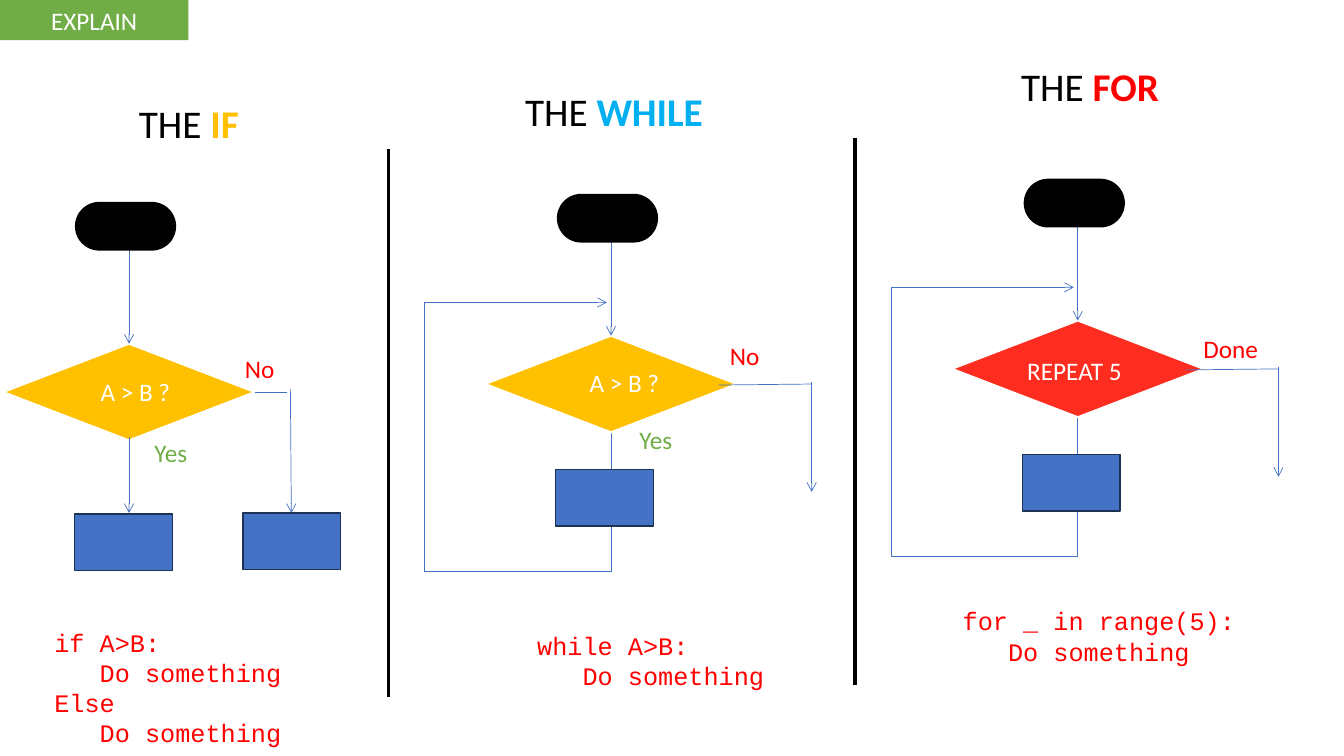
from lxml import etree
from pptx import Presentation
from pptx import util as u
from pptx.dml.color import RGBColor
from pptx.enum import shapes, text
from pptx.oxml import ns

WHITE = RGBColor(0xFF, 0xFF, 0xFF)
BLACK = RGBColor(0, 0, 0)
GREEN = RGBColor(0x70, 0xAD, 0x47)
AMBER = RGBColor(0xFF, 0xC0, 0)
SKY = RGBColor(0, 0xB0, 0xF0)
RED = RGBColor(0xFF, 0, 0)
SCARLET = RGBColor(0xFF, 0x2D, 0x20)
BLUE = RGBColor(0x44, 0x72, 0xC4)
NAVY = RGBColor(0x1E, 0x32, 0x56)

COLUMNS, ROWS = 13.33, 7.5
INDENT = 0.45


def write(paragraph, content, size=18, font="Calibri", color=WHITE, bold=False,
          align=text.PP_ALIGN.LEFT, indent=0):
    paragraph.alignment = align
    if indent:
        paragraph._p.get_or_add_pPr().set("marL", str(u.Inches(indent)))
    run = paragraph.add_run()
    run.text = content
    run.font.size = u.Pt(size)
    run.font.name = font
    run.font.bold = bold
    run.font.color.rgb = color


class FlowSlide:
    def __init__(self, presentation):
        self.slide = presentation.slides.add_slide(presentation.slide_layouts[6])
        self.column = presentation.slide_width / COLUMNS
        self.row = presentation.slide_height / ROWS

    def place(self, *lengths):
        units = (self.column, self.row) * 2
        return [round(length * unit) for length, unit in zip(lengths, units)]

    def shape(self, kind, box, fill, line=None, weight=1):
        shape = self.slide.shapes.add_shape(kind, *self.place(*box))
        shape.shadow.inherit = False
        shape.fill.solid()
        shape.fill.fore_color.rgb = fill
        if line is None:
            shape.line.fill.background()
        else:
            shape.line.color.rgb = line
            shape.line.width = u.Pt(weight)
        return shape

    def line(self, start, end, color=BLUE, weight=0.5, arrow=False):
        line = self.slide.shapes.add_connector(
            shapes.MSO_CONNECTOR.STRAIGHT, *self.place(*start, *end))
        line.line.color.rgb = color
        line.line.width = u.Pt(weight)
        if arrow:
            etree.SubElement(line.line._get_or_add_ln(), ns.qn("a:tailEnd"), type="arrow")
        etree.SubElement(line._element.spPr, ns.qn("a:effectLst"))

    def textbox(self, box):
        frame = self.slide.shapes.add_textbox(*self.place(*box)).text_frame
        frame.word_wrap = True
        return frame

    def label(self, content, left, top, width=0.97, **style):
        frame = self.textbox((left, top, width, 0.4))
        write(frame.paragraphs[0], content, **style)

    def answer(self, content, left, top, color):
        self.label(content, left, top, color=color, align=text.PP_ALIGN.CENTER)

    def title(self, keyword, color, left, top):
        paragraph = self.textbox((left, top, 2.2, 0.57)).paragraphs[0]
        write(paragraph, "THE ", size=28, color=BLACK)
        write(paragraph, keyword, size=28, color=color, bold=True)

    def code(self, lines, left, top):
        frame = self.textbox((left, top, 2.98, 0.1 + 0.3 * len(lines)))
        for number, (content, level) in enumerate(lines):
            paragraph = frame.add_paragraph() if number else frame.paragraphs[0]
            write(paragraph, content, font="Courier New", color=RED, indent=level * INDENT)

    def step(self, left, top):
        self.shape(shapes.MSO_SHAPE.RECTANGLE, (left, top, 0.97, 0.56), BLUE, NAVY)

    def decision(self, x, y, question, fill, question_dx, question_dy):
        self.shape(shapes.MSO_SHAPE.DIAMOND, (x - 1.25, y, 2.5, 0.96), fill, WHITE, 1.5)
        self.label(question, x + question_dx, y + question_dy, width=1.4)
        self.line((x, y - 1.37), (x, y), arrow=True)
        start = self.shape(shapes.MSO_SHAPE.ROUNDED_RECTANGLE,
                           (x - 0.53, y - 1.4, 0.99, 0.47), BLACK, BLACK)
        start.adjustments[0] = 0.5

    def loop(self, x, y, *decision):
        left, back, bottom, exit_x = x - 1.85, y - 0.33, y + 2.34, x + 1.99
        self.line((x, y + 0.88), (x, bottom))
        self.decision(x, y, *decision)
        self.line((left, back), (x - 0.04, back), arrow=True)
        self.line((left, back), (left, bottom))
        self.line((x, bottom), (left, bottom))
        self.step(x - 0.55, y + 1.33)
        self.line((exit_x, y + 0.46), (exit_x, y + 1.55), arrow=True)
        self.line((exit_x, y + 0.48), (x + 1.07, y + 0.49))

    def branch(self, x, y, *decision):
        self.decision(x, y, *decision)
        self.line((x + 1.6, y + 0.45), (x + 1.61, y + 1.68), arrow=True)
        self.line((x + 1.57, y + 0.48), (x + 1.25, y + 0.48))
        self.line((x, y + 0.93), (x, y + 1.68), arrow=True)
        self.step(x + 1.13, y + 1.68)
        self.step(x - 0.54, y + 1.69)


presentation = Presentation()
presentation.slide_width = u.Inches(COLUMNS)
presentation.slide_height = u.Inches(ROWS)
flow = FlowSlide(presentation)

tag = flow.shape(shapes.MSO_SHAPE.RECTANGLE, (0, 0, 1.87, 0.4), GREEN)
tag.text_frame.vertical_anchor = text.MSO_ANCHOR.MIDDLE
write(tag.text_frame.paragraphs[0], "EXPLAIN", align=text.PP_ALIGN.CENTER)

for divider_x, divider_y in ((3.85, 1.48), (8.48, 1.37)):
    flow.line((divider_x, divider_y), (divider_x, divider_y + 5.43), BLACK, 2.25)

flow.branch(1.28, 3.41, "A > B ?", AMBER, -0.38, 0.27)
flow.loop(6.06, 3.33, "A > B ?", AMBER, -0.31, 0.26)
flow.loop(10.69, 3.18, "REPEAT 5", SCARLET, -0.6, 0.3)

for content, left, top, color in (
    ("No", 2.09, 3.46, RED),
    ("Yes", 1.21, 4.29, GREEN),
    ("No", 6.9, 3.33, RED),
    ("Yes", 6.02, 4.16, GREEN),
    ("Done", 11.72, 3.26, RED),
):
    flow.answer(content, left, top, color)

flow.title("IF", AMBER, 1.28, 0.94)
flow.title("WHILE", SKY, 5.11, 0.82)
flow.title("FOR", RED, 10.03, 0.57)

action = ("Do something", 1)
flow.code([("if A>B:", 0), action, ("Else", 0), action], 0.44, 6.17)
flow.code([("while A>B:", 0), action], 5.23, 6.2)
flow.code([("for _ in range(5):", 0), action], 9.45, 5.96)

presentation.save("out.pptx")
